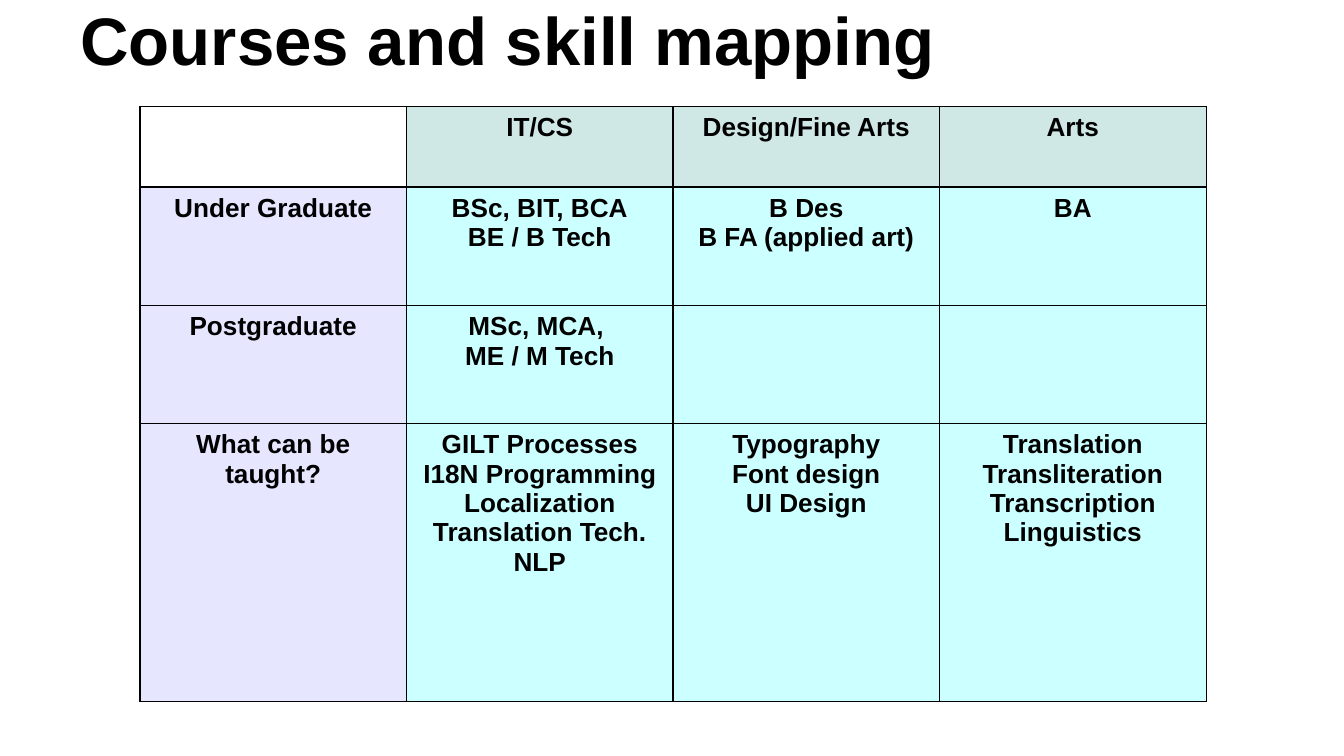
from lxml import etree
from pptx import Presentation
from pptx.dml.color import RGBColor
from pptx.enum import text as t
from pptx.oxml import ns
from pptx.util import Pt

BLACK = RGBColor(0x00, 0x00, 0x00)
WHITE = RGBColor(0xFF, 0xFF, 0xFF)
SAGE = RGBColor(0xCF, 0xE7, 0xE5)
LILAC = RGBColor(0xE6, 0xE6, 0xFF)
AQUA = RGBColor(0xCC, 0xFF, 0xFF)

LEFT, TOP = 75, 57
COL = 142.8
ROWS = [43.2, 63.3, 63.3, 149.2]
CELLS = [
    ["", "IT/CS", "Design/Fine Arts", "Arts"],
    ["Under Graduate", "BSc, BIT, BCA\nBE / B Tech",
     "B Des\nB FA (applied art)", "BA"],
    ["Postgraduate", "MSc, MCA, \nME / M Tech", "", ""],
    ["What can be taught?",
     "GILT Processes\nI18N Programming\nLocalization\nTranslation Tech.\nNLP",
     "Typography\nFont design\nUI Design",
     "Translation\nTransliteration\nTranscription\nLinguistics"],
]


def write(frame, words, size=14, bold=True, color=BLACK, align=t.PP_ALIGN.CENTER):
    frame.word_wrap = True
    frame.text = words
    for para in frame.paragraphs:
        para.alignment = align
        font = para.font
        font.name, font.size, font.bold = "Arial", Pt(size), bold
        font.color.rgb = color
        for run in para.runs:
            font = run.font
            font.name, font.size, font.bold = "Arial", Pt(size), bold
            font.color.rgb = color


def edge(cell, width=0.75):
    props = cell._tc.get_or_add_tcPr()
    for spot, side in enumerate(("lnL", "lnR", "lnT", "lnB")):
        line = etree.Element(ns.qn(f"a:{side}"), w=str(Pt(width)))
        fill = etree.SubElement(line, ns.qn("a:solidFill"))
        etree.SubElement(fill, ns.qn("a:srgbClr"), val=str(BLACK))
        props.insert(spot, line)


def shade(row, col):
    if row == 0:
        return SAGE if col else WHITE
    return AQUA if col else LILAC


def add_grid(slide):
    count = len(CELLS[0])
    frame = slide.shapes.add_table(len(ROWS), count, Pt(LEFT), Pt(TOP),
                                   Pt(COL * count), Pt(sum(ROWS)))
    grid = frame.table
    for col in grid.columns:
        col.width = Pt(COL)
    for r, high in enumerate(ROWS):
        grid.rows[r].height = Pt(high)
        for c, words in enumerate(CELLS[r]):
            cell = grid.cell(r, c)
            cell.fill.solid()
            cell.fill.fore_color.rgb = shade(r, c)
            edge(cell)
            write(cell.text_frame, words)


def add_title(slide, words):
    box = slide.shapes.add_textbox(Pt(36), Pt(16.6), Pt(648), Pt(33.1))
    frame = box.text_frame
    frame.vertical_anchor = t.MSO_ANCHOR.BOTTOM
    frame.margin_left = frame.margin_right = Pt(7.2)
    frame.margin_top = frame.margin_bottom = Pt(7.2)
    write(frame, words, size=36, align=t.PP_ALIGN.LEFT)


def main():
    deck = Presentation()
    deck.slide_width, deck.slide_height = Pt(720), Pt(405)
    slide = deck.slides.add_slide(deck.slide_layouts[6])
    add_grid(slide)
    add_title(slide, "Courses and skill mapping")
    deck.save("out.pptx")


if __name__ == "__main__":
    main()
